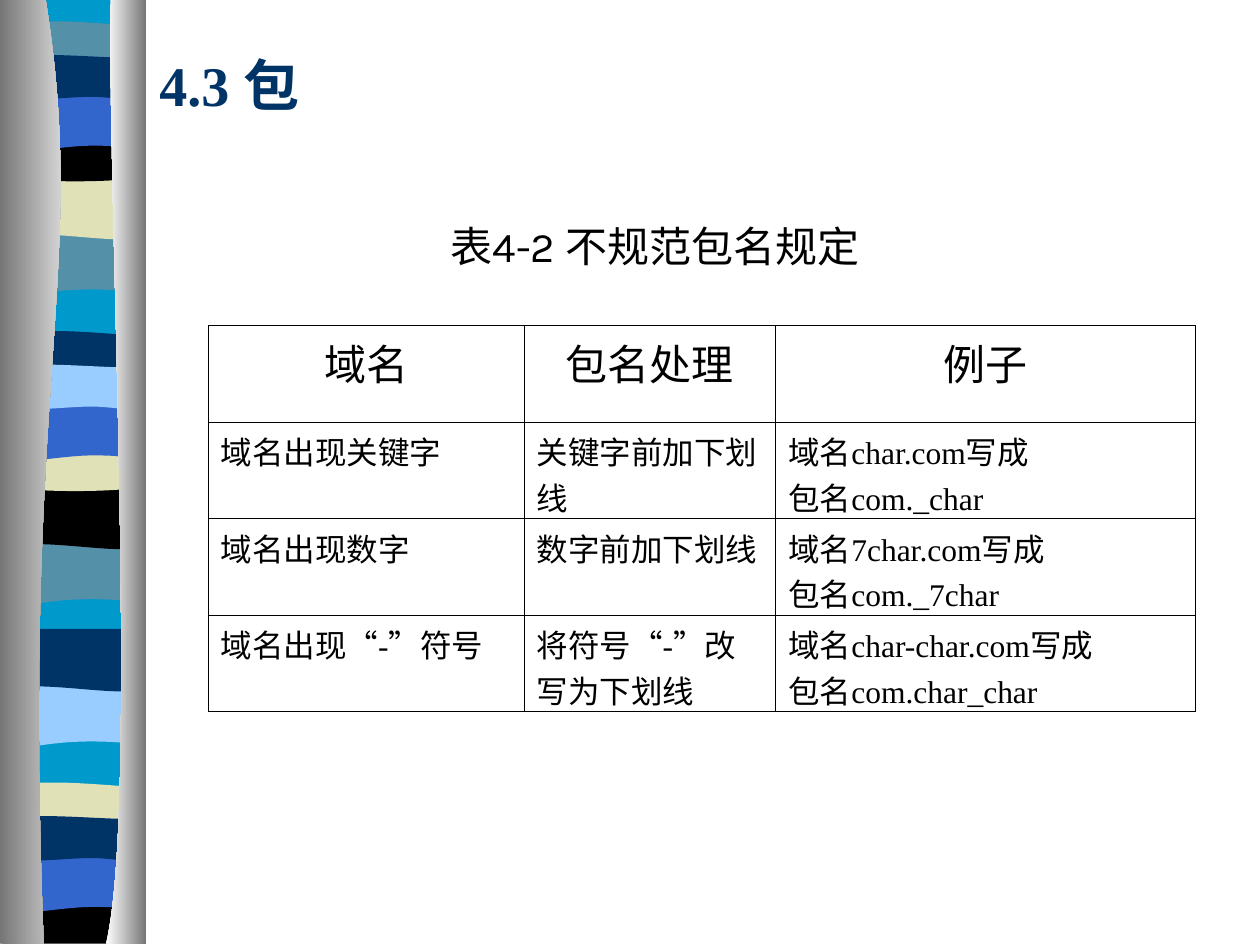
from dataclasses import dataclass

from lxml.etree import SubElement
from pptx import Presentation
from pptx.dml.color import RGBColor
from pptx.enum.text import MSO_ANCHOR, PP_ALIGN
from pptx.oxml.ns import qn
from pptx.util import Pt


@dataclass(frozen=True)
class Theme:
    ink: str = "000000"
    navy: str = "003366"
    blue: str = "3366CC"
    cyan: str = "0099CC"
    sky: str = "99CCFF"
    teal: str = "5490A8"
    sand: str = "E1E1B7"
    shade: str = "767676"
    white: str = "FFFFFF"
    serif: str = "Times New Roman"
    sans: str = "Karla"
    title: int = 32
    heading: int = 24
    body: int = 18
    rule: float = 0.45


THEME = Theme()
BAND_WIDTH = 78

# Each outline starts at its first point; a pair is a straight step and
# six numbers are a Bezier curve (two controls, then the end).
OUTLINES = {
    "swell": [(78, 0), (78, 34), (24, 28, 13, 39.5, 0, 34), (0, 0)],
    "dip": [(78, 0), (78, 34), (65, 39.5, 24, 29.5, 0, 34), (0, 0)],
    "thin": [(78, 3.6), (78, 21), (65, 24, 13, 24, 0, 21), (0, 3.6),
             (4.5, 0, 17, 0.7, 30, 0.7), (42, 0.7, 68, 2.9, 78, 3.6)],
    "bowl": [(78, 0), (78, 23.4), (65, 27, 13, 27, 0, 23.4), (0, 0),
             (48, 3.6, 61, 0, 78, 0)],
    "foot": [(78, 0), (78, 26.7), (0, 26.7), (0, 0), (48, 3.6, 61, 0, 78, 0)],
    "arch": [(78, 0), (78, 34), (66, 30, 61, 30, 48, 30),
             (35, 30, 12, 34, 0, 34), (0, 0)],
    "ripple": [(78, 3.6), (78, 26), (73, 29.5, 61, 26, 48, 26),
               (35, 26, 8, 29.5, 0, 26), (0, 3.6),
               (11, 0, 53, 3.6, 66, 3.6), (79.2, 3.6, 75, 3.6, 78, 3.6)],
}
# Drop of each band below the start of its cycle, from back to front
DROPS = {"swell": 121.7, "dip": 89.6, "thin": 0, "bowl": 66, "foot": 66,
         "arch": 41.8, "ripple": 17.8}
CYCLES = [
    (12.2, dict(swell=THEME.teal, dip=THEME.sand, thin=THEME.teal,
                bowl=THEME.ink, arch=THEME.blue, ripple=THEME.navy)),
    (189.2, dict(swell=THEME.teal, dip=THEME.ink, thin=THEME.navy,
                 bowl=THEME.sand, arch=THEME.blue, ripple=THEME.sky)),
    (270.5, dict(swell=THEME.sky, dip=THEME.navy)),
    (447.2, dict(thin=THEME.sand, foot=THEME.ink, arch=THEME.blue, ripple=THEME.navy)),
]

TABLE_ROWS = [
    ["域名", "包名处理", "例子"],
    ["域名出现关键字", "关键字前加下划线", "域名char.com写成\n包名com._char"],
    ["域名出现数字", "数字前加下划线", "域名7char.com写成\n包名com._7char"],
    ["域名出现“-”符号", "将符号“-”改写为下划线", "域名char-char.com写成\n包名com.char_char"],
]
COLUMN_SHARES = [2.51, 2, 3.33]


def bend_curves(shape, outline):
    """Turn the three line steps of each Bezier curve into one curve step."""
    path = shape._element.find(f".//{qn('a:path')}")
    lines = iter(path.findall(qn("a:lnTo")))
    for step in outline[1:]:
        first = next(lines)
        if len(step) == 6:
            first.tag = qn("a:cubicBezTo")
            for _ in range(2):
                line = next(lines)
                first.append(line[0])
                path.remove(line)


def add_outline(group, outline, left, top, colours):
    """Draw an outline; two colours make a left-to-right gradient."""
    points = [(Pt(left + x), Pt(top + y)) for step in outline
              for x, y in zip(step[::2], step[1::2])]
    builder = group.shapes.build_freeform(*points[0], scale=1.0)
    builder.add_line_segments(points[1:], close=True)
    shape = builder.convert_to_shape()
    bend_curves(shape, outline)
    shape.shadow.inherit = False
    shape.line.fill.background()
    if len(colours) == 1:
        shape.fill.solid()
        shape.fill.fore_color.rgb = RGBColor.from_string(colours[0])
    else:
        shape.fill.gradient()
        shape.fill.gradient_angle = 0
        for stop, colour in zip(shape.fill.gradient_stops, colours):
            stop.color.rgb = RGBColor.from_string(colour)


def add_ribbon(slide, left, top, width, height):
    """Wavy coloured bands between two shaded edges."""
    group = slide.shapes.add_group_shape()
    band_left = left + 4
    floor = height - 1.4
    backdrop = [(BAND_WIDTH, 0), (BAND_WIDTH, floor), (0, floor), (0, 0)]
    add_outline(group, backdrop, band_left, top, [THEME.cyan])
    for start, colours in CYCLES:
        for band, drop in DROPS.items():
            if band in colours:
                add_outline(group, OUTLINES[band], band_left, top + start + drop,
                            [colours[band]])
    left_edge = [(26, 0), (51, 156, 12, 213, 25, height), (0, height), (0, 0)]
    right_edge = [(63.4, 0), (60.5, 91, 80, 465, 60.5, height), (width, height), (width, 0)]
    add_outline(group, left_edge, left, top, [THEME.shade, THEME.white])
    add_outline(group, right_edge, left, top, [THEME.white, THEME.shade])


def write(frame, text, size=THEME.body, colour=THEME.ink, bold=False,
          align=PP_ALIGN.LEFT, font=THEME.serif):
    """Fill a frame; text is a string or a list of (text, font) runs."""
    lines = [[(line, font)] for line in text.split("\n")] if isinstance(text, str) else [text]
    frame.word_wrap = True
    for index, runs in enumerate(lines):
        paragraph = frame.add_paragraph() if index else frame.paragraphs[0]
        paragraph.alignment = align
        for words, face in runs:
            run = paragraph.add_run()
            run.text = words
            run.font.name = face
            run.font.size = Pt(size)
            run.font.bold = bold
            run.font.color.rgb = RGBColor.from_string(colour)


def add_label(slide, text, left, top, width, height, **style):
    box = slide.shapes.add_textbox(Pt(left), Pt(top), Pt(width), Pt(height))
    box.text_frame.vertical_anchor = MSO_ANCHOR.MIDDLE
    write(box.text_frame, text, **style)


def set_borders(cell):
    properties = cell._tc.get_or_add_tcPr()
    for position, side in enumerate(("lnL", "lnR", "lnT", "lnB")):
        line = SubElement(properties, qn(f"a:{side}"), w=str(Pt(THEME.rule)))
        fill = SubElement(line, qn("a:solidFill"))
        SubElement(fill, qn("a:srgbClr"), val=THEME.ink)
        properties.insert(position, line)


def add_rules_table(slide, left, top, width, height):
    table = slide.shapes.add_table(len(TABLE_ROWS), len(COLUMN_SHARES), Pt(left), Pt(top),
                                   Pt(width), Pt(height)).table
    for column, share in zip(table.columns, COLUMN_SHARES):
        column.width = Pt(width * share / sum(COLUMN_SHARES))
    for row_index, texts in enumerate(TABLE_ROWS):
        table.rows[row_index].height = Pt(height / len(TABLE_ROWS))
        header = row_index == 0
        for column_index, text in enumerate(texts):
            cell = table.cell(row_index, column_index)
            cell.fill.background()
            set_borders(cell)
            write(cell.text_frame, text, size=THEME.heading if header else THEME.body,
                  align=PP_ALIGN.CENTER if header else PP_ALIGN.LEFT)


def main():
    deck = Presentation()
    deck.slide_width, deck.slide_height = Pt(720), Pt(540)
    slide = deck.slides.add_slide(deck.slide_layouts[6])
    add_ribbon(slide, 0, -0.7, 83.5, 540)
    add_label(slide, "4.3 包", 84, 24, 612, 48,
              size=THEME.title, colour=THEME.navy, bold=True)
    caption = [("表", THEME.serif), ("4-2 ", THEME.sans), ("不规范包名规定", THEME.serif)]
    add_label(slide, caption, 244, 122.3, 260.5, 36,
              size=THEME.heading, align=PP_ALIGN.CENTER)
    add_rules_table(slide, 118.9, 186, 564, 220.6)
    deck.save("out.pptx")


if __name__ == "__main__":
    main()
